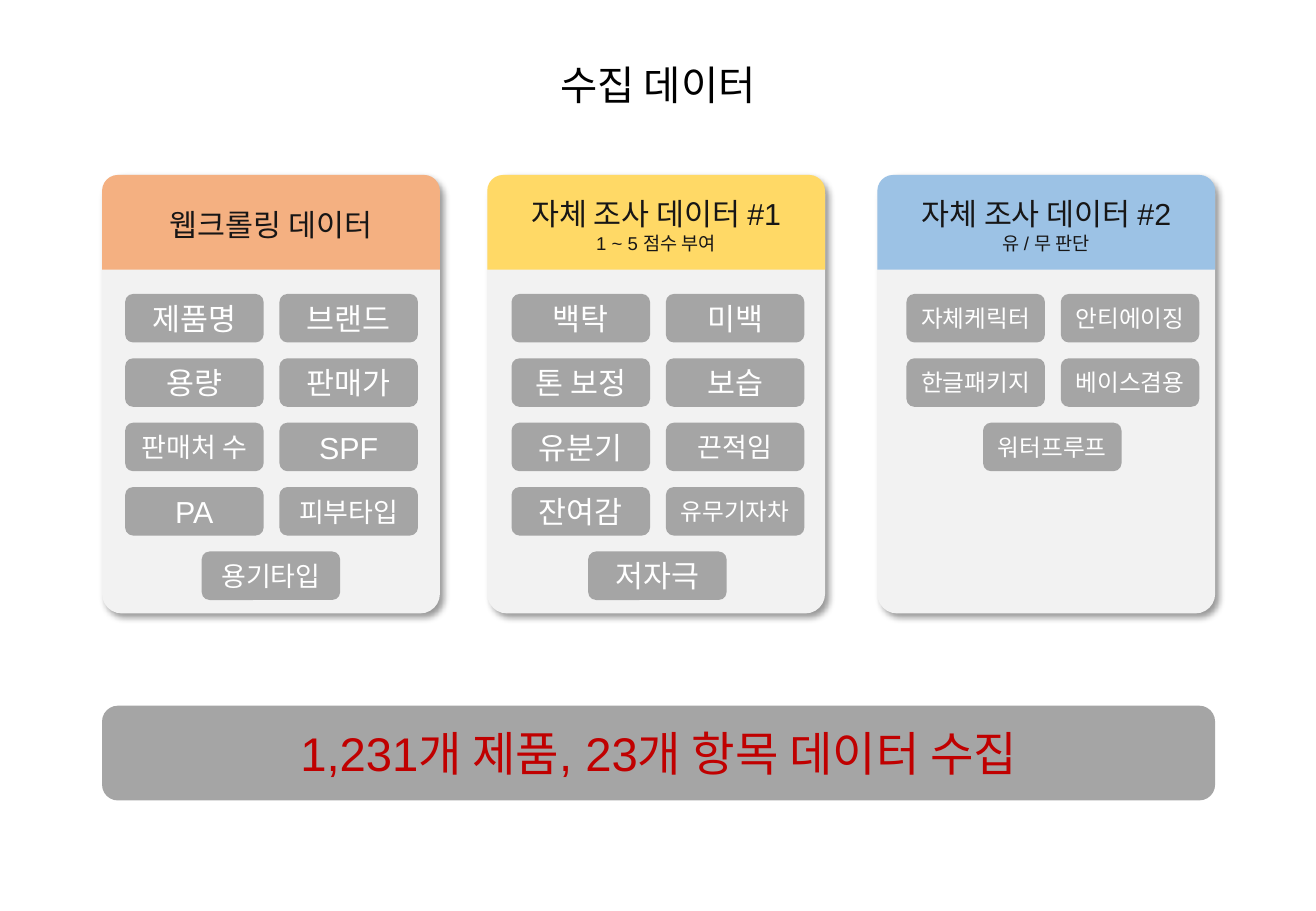
from pptx import Presentation
from pptx import util as u
from pptx.dml import color
from pptx.enum import shapes, text
from pptx.oxml import parse_xml, ns

PX = 9144
FONT = "Arial"
GREY = "A5A5A5"
ROUND = shapes.MSO_SHAPE.ROUNDED_RECTANGLE
TAB = shapes.MSO_SHAPE.ROUND_2_SAME_RECTANGLE

TOP = 144
CARD_W, CARD_H, HEAD_H = 278, 361, 78
TILE_W, TILE_H = 114, 40
TILE_TOP, STEP_X, STEP_Y = 242, 127, 53

CARDS = [
    (84, 103, "F4B081", [("웹크롤링 데이터", 18)],
     [("제품명", 18), ("브랜드", 18), ("용량", 18), ("판매가", 18),
      ("판매처 수", 16), ("SPF", 18), ("PA", 18), ("피부타입", 16),
      ("용기타입", 16)]),
    (401, 421, "FFD966", [("자체 조사 데이터 #1", 18), ("1 ~ 5 점수 부여", 11)],
     [("백탁", 18), ("미백", 18), ("톤 보정", 18), ("보습", 18),
      ("유분기", 18), ("끈적임", 16), ("잔여감", 18), ("유무기자차", 14),
      ("저자극", 18)]),
    (722, 746, "9CC2E5", [("자체 조사 데이터 #2", 18), ("유 / 무 판단", 11)],
     [("자체케릭터", 14), ("안티에이징", 14), ("한글패키지", 14),
      ("베이스겸용", 14), ("워터프루프", 14)]),
]


def rgb(code):
    return color.RGBColor.from_string(code)


def write(frame, lines, ink):
    frame.word_wrap = True
    frame.auto_size = text.MSO_AUTO_SIZE.NONE
    frame.vertical_anchor = text.MSO_ANCHOR.MIDDLE
    for i, (words, size) in enumerate(lines):
        para = frame.add_paragraph() if i else frame.paragraphs[0]
        para.alignment = text.PP_ALIGN.CENTER
        run = para.add_run()
        run.text = words
        run.font.name = FONT
        run.font.size = u.Pt(size)
        run.font.color.rgb = rgb(ink)


def place(item, x, y, w, h):
    item.left, item.top, item.width, item.height = (n * PX for n in (x, y, w, h))


def box(slide, kind, x, y, w, h, fill, lines=(), ink="FFFFFF"):
    item = slide.shapes.add_shape(kind, *(n * PX for n in (x, y, w, h)))
    item.shadow.inherit = False
    item.fill.solid()
    item.fill.fore_color.rgb = rgb(fill)
    item.line.fill.background()
    write(item.text_frame, lines, ink)
    return item


def shade(item):
    effects = item._element.spPr.find(ns.qn("a:effectLst"))
    effects.append(parse_xml(
        f'<a:outerShdw {ns.nsdecls("a")} blurRad="{u.Pt(4)}" dist="{u.Pt(3)}" '
        'dir="2700000" algn="tl" rotWithShape="0"><a:srgbClr val="000000">'
        '<a:alpha val="40000"/></a:srgbClr></a:outerShdw>'))


def card(slide, x, left, fill, head, tiles):
    panel = box(slide, ROUND, x, TOP, CARD_W, CARD_H, "F2F2F2")
    panel.adjustments[0] = 0.058
    shade(panel)
    box(slide, TAB, x, TOP, CARD_W, HEAD_H, fill, head, "171616")
    for i, tile in enumerate(tiles):
        row, col = divmod(i, 2)
        lone = col == 0 and i == len(tiles) - 1
        shift = STEP_X // 2 if lone else col * STEP_X
        box(slide, ROUND, left + shift, TILE_TOP + row * STEP_Y,
            TILE_W, TILE_H, GREY, [tile])


def main():
    deck = Presentation()
    deck.slide_width, deck.slide_height = 1083 * PX, 750 * PX
    slide = deck.slides.add_slide(deck.slide_layouts[5])
    title = slide.shapes.title
    place(title, 0, 44, 1083, 50)
    write(title.text_frame, [("수집 데이터", 24)], "000000")
    for spec_row in CARDS:
        card(slide, *spec_row)
    box(slide, ROUND, 84, 581, 916, 78, GREY,
        [("1,231개 제품, 23개 항목 데이터 수집", 28)], "C00000")
    deck.save("out.pptx")


if __name__ == "__main__":
    main()
